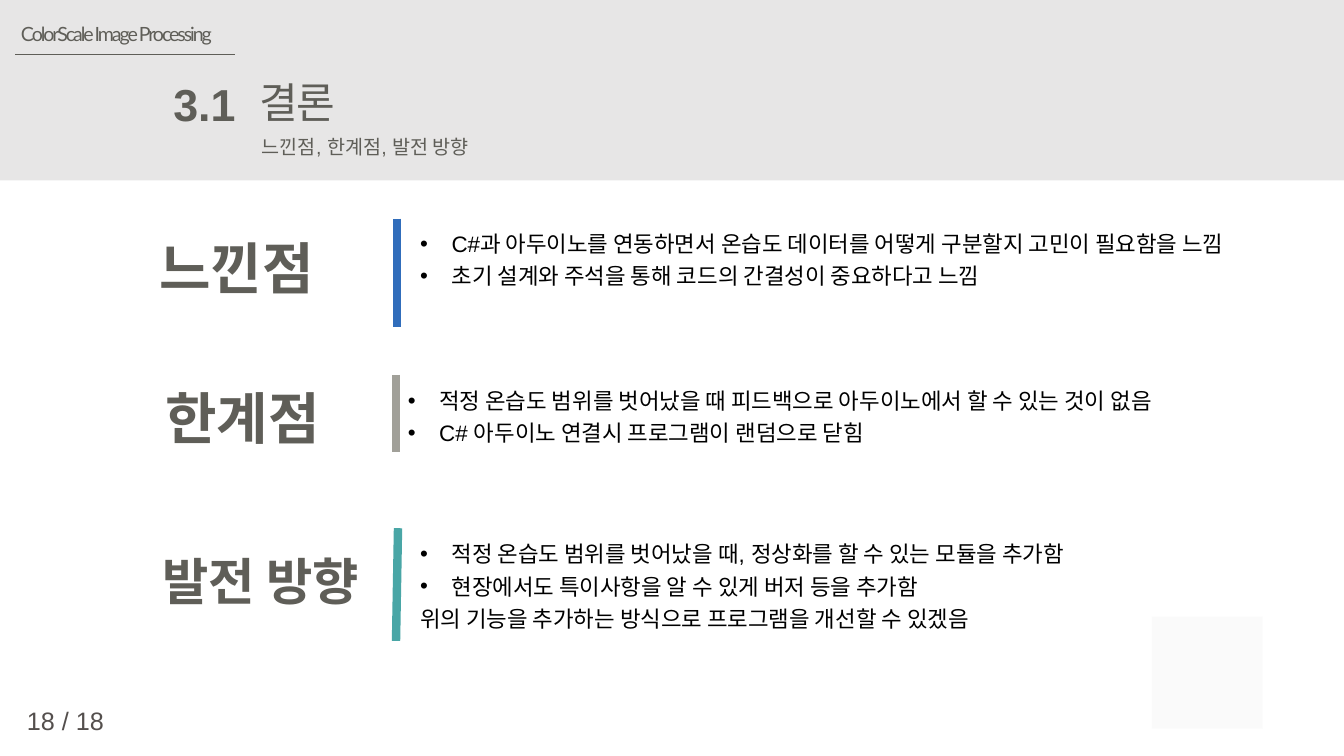
import pptx
import pptx.dml.color
import pptx.enum.shapes
import pptx.enum.text
import pptx.oxml.ns
import pptx.util
from lxml import etree

Cm = pptx.util.Cm
RGBColor = pptx.dml.color.RGBColor
ALIGN = pptx.enum.text.PP_ALIGN
qn = pptx.oxml.ns.qn

WHITE = RGBColor(0xFF, 0xFF, 0xFF)
BLACK = RGBColor(0x00, 0x00, 0x00)
INK = RGBColor(0x5F, 0x5E, 0x58)
PAGE_INK = RGBColor(0x54, 0x4F, 0x4D)
BAND = RGBColor(0xE7, 0xE6, 0xE6)
PALE = RGBColor(0xF9, 0xF9, 0xF9)
BLUE = RGBColor(0x30, 0x6D, 0xBB)
GRAY = RGBColor(0xA1, 0xA0, 0x99)
TEAL = RGBColor(0x49, 0xA6, 0xA6)
KOREAN = "Noto Sans CJK KR"
HANG = Cm(0.79)

deck = pptx.Presentation()
deck.slide_width, deck.slide_height = Cm(33.87), Cm(19.05)
slide = deck.slides.add_slide(deck.slide_layouts[6])


def add_text(text, box, size, color=INK, font="Arial", bold=False, align=ALIGN.LEFT,
             wrap=True, tracking=None, line_spacing=None, bullets=0):
    """Write one paragraph per line of text; the first `bullets` of them get a bullet."""
    frame = slide.shapes.add_textbox(*map(Cm, box)).text_frame
    frame.word_wrap = wrap
    frame.auto_size = pptx.enum.text.MSO_AUTO_SIZE.SHAPE_TO_FIT_TEXT
    for index, line in enumerate(text.split("\n")):
        paragraph = frame.add_paragraph() if index else frame.paragraphs[0]
        paragraph.alignment = align
        if line_spacing:
            paragraph.line_spacing = line_spacing
        if index < bullets:
            properties = paragraph._p.get_or_add_pPr()
            properties.set("marL", str(HANG))
            properties.set("indent", str(-HANG))
            etree.SubElement(properties, qn("a:buFont")).set("typeface", "Arial")
            etree.SubElement(properties, qn("a:buChar")).set("char", "•")
        run = paragraph.add_run()
        run.text = line
        run.font.size = pptx.util.Pt(size)
        run.font.name = font
        run.font.bold = bold
        run.font.color.rgb = color
        run_properties = run.font._element
        etree.SubElement(run_properties, qn("a:ea")).set("typeface", KOREAN)
        if tracking:
            run_properties.set("spc", str(int(tracking * 100)))


def add_line(start, end, color, width):
    line = slide.shapes.add_connector(
        pptx.enum.shapes.MSO_CONNECTOR.STRAIGHT, *map(Cm, start + end))
    line.line.color.rgb = color
    line.line.width = pptx.util.Pt(width)
    etree.SubElement(line._element.spPr, qn("a:effectLst"))


# Background: corner square and header band
slide.background.fill.solid()
slide.background.fill.fore_color.rgb = WHITE
for box, color, opacity in [((29.03, 15.54, 2.79, 2.82), PALE, 70),
                            ((0, 0, 33.87, 4.55), BAND, 100)]:
    panel = slide.shapes.add_shape(
        pptx.enum.shapes.MSO_SHAPE.RECTANGLE, *map(Cm, box))
    panel.shadow.inherit = False
    panel.fill.solid()
    panel.fill.fore_color.rgb = color
    panel.line.fill.background()
    if opacity < 100:
        fill_color = panel._element.spPr.find(".//" + qn("a:srgbClr"))
        etree.SubElement(fill_color, qn("a:alpha")).set("val", str(opacity * 1000))

# Header
add_line((0.38, 1.37), (5.92, 1.37), INK, 0.5)
add_text("ColorScale Image Processing", (0.28, 0.43, 6.32, 0.86), 14,
         font="Lato", wrap=False, tracking=-1.5)
add_text("3.1", (4.11, 1.8, 2.08, 1.63), 32, bold=True, align=ALIGN.RIGHT, wrap=False)
add_text("결론", (6.3, 1.8, 2.54, 1.55), 30, font=KOREAN, wrap=False, tracking=-1.5)
add_text("느낀점, 한계점, 발전 방향", (6.35, 3.28, 6.2, 0.86), 14)

# Sections: heading, coloured bar, points
sections = [
    ("느낀점", (3.38, 5.77, 5.16, 1.96), 40, ALIGN.CENTER,
     (10.01, 5.51), (10.01, 8.23), BLUE,
     "C#과 아두이노를 연동하면서 온습도 데이터를 어떻게 구분할지 고민이 필요함을 느낌\n"
     "초기 설계와 주석을 통해 코드의 간결성이 중요하다고 느낌",
     (10.34, 5.54, 22, 2.72)),
    ("한계점", (3.15, 9.53, 5.16, 1.96), 40, ALIGN.RIGHT,
     (9.98, 9.45), (9.98, 11.38), GRAY,
     "적정 온습도 범위를 벗어났을 때 피드백으로 아두이노에서 할 수 있는 것이 없음\n"
     "C# 아두이노 연결시 프로그램이 랜덤으로 닫힘",
     (10.03, 9.5, 21.51, 1.83)),
    ("발전 방향", (0.28, 13.74, 9.02, 1.8), 36, ALIGN.RIGHT,
     (10.03, 13.31), (9.98, 16.15), TEAL,
     "적정 온습도 범위를 벗어났을 때, 정상화를 할 수 있는 모듈을 추가함\n"
     "현장에서도 특이사항을 알 수 있게 버저 등을 추가함\n"
     "위의 기능을 추가하는 방식으로 프로그램을 개선할 수 있겠음",
     (10.34, 13.36, 22, 2.72)),
]
for heading, heading_box, size, align, top, bottom, color, points, points_box in sections:
    add_line(top, bottom, color, 6)
    add_text(heading, heading_box, size, bold=True, align=align)
    add_text(points, points_box, 16, color=BLACK, line_spacing=1.2, bullets=2)

# Page number
add_text("18 / 18", (0.43, 17.65, 5.13, 1.02), 18, color=PAGE_INK)

deck.save("out.pptx")
